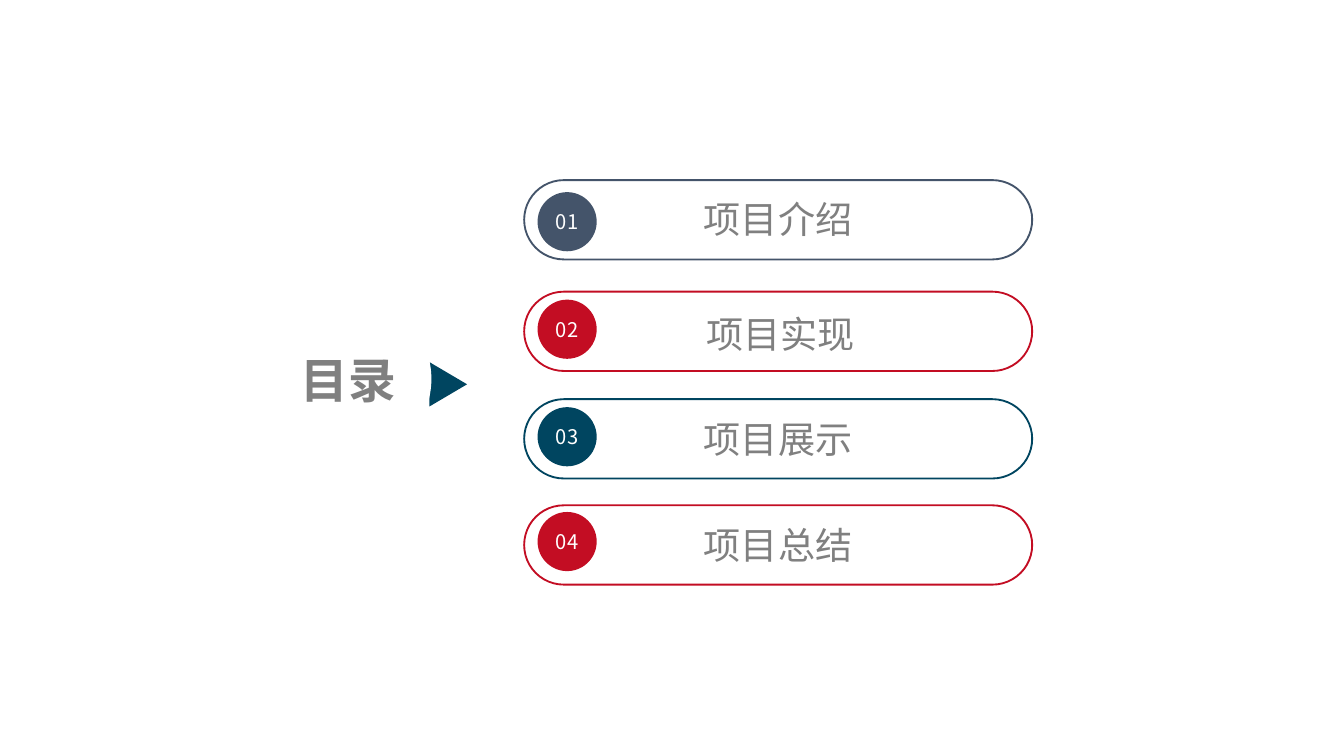
from dataclasses import dataclass

from lxml import etree
from pptx import Presentation
from pptx.dml.color import RGBColor
from pptx.enum.shapes import MSO_SHAPE
from pptx.enum.text import MSO_ANCHOR, PP_ALIGN
from pptx.oxml.ns import qn
from pptx.util import Inches, Pt

OVAL = MSO_SHAPE.OVAL
PILL = MSO_SHAPE.ROUNDED_RECTANGLE
TRIANGLE = MSO_SHAPE.ISOSCELES_TRIANGLE
CENTER = PP_ALIGN.CENTER
MIDDLE = MSO_ANCHOR.MIDDLE


@dataclass(frozen=True)
class Theme:
    font: str = "Noto Sans CJK SC"
    white: str = "FFFFFF"
    gray: str = "808080"
    slate: str = "44546A"
    red: str = "C30D23"
    teal: str = "004560"
    title_size: float = 25.6
    label_size: float = 19.9
    number_size: float = 10.8


THEME = Theme()
PILL_LEFT, PILL_WIDTH, PILL_HEIGHT = 3.9, 3.78, 0.59
BADGE_SIZE = 0.44
ENTRIES = [
    {"top": 1.34, "badge_drop": 0.09, "label_shift": (0, -0.01), "color": THEME.slate, "label": "项目介绍"},
    {"top": 2.17, "badge_drop": 0.06, "label_shift": (0.02, 0.02), "color": THEME.red, "label": "项目实现"},
    {"top": 2.97, "badge_drop": 0.06, "label_shift": (0, 0), "color": THEME.teal, "label": "项目展示"},
    {"top": 3.76, "badge_drop": 0.05, "label_shift": (0, 0), "color": THEME.red, "label": "项目总结"},
]


def write_text(shape, text, size, color, bold=False):
    frame = shape.text_frame
    frame_format = {
        "word_wrap": True,
        "vertical_anchor": MIDDLE,
        "margin_left": 0,
        "margin_right": 0,
        "margin_top": 0,
        "margin_bottom": 0,
    }
    for name, value in frame_format.items():
        setattr(frame, name, value)
    para = frame.paragraphs[0]
    para_format = {"alignment": CENTER, "line_spacing": 1.0, "space_before": Pt(0)}
    for name, value in para_format.items():
        setattr(para, name, value)
    span = para.add_run()
    span.text = text
    for name, value in {"name": THEME.font, "size": Pt(size), "bold": bold}.items():
        setattr(span.font, name, value)
    span.font.color.rgb = RGBColor.from_string(color)
    east_asian = etree.SubElement(span.font._element, qn("a:ea"))
    east_asian.set("typeface", THEME.font)


def add_shape(page, kind, box, fill=None, line=None):
    shape = page.shapes.add_shape(kind, *map(Inches, box))
    shape.shadow.inherit = False
    if fill:
        shape.fill.solid()
        shape.fill.fore_color.rgb = RGBColor.from_string(fill)
    else:
        shape.fill.background()
    if line:
        shape.line.color.rgb = RGBColor.from_string(line)
        shape.line.width = Pt(1)
    else:
        shape.line.fill.background()
    return shape


def add_heading(page, box):
    left, top, width, height = box
    pointer = add_shape(page, TRIANGLE, (left + 1.2, top + 0.52, 0.33, 0.28), fill=THEME.teal)
    pointer.rotation = 90
    add_shape(page, OVAL, box, fill=THEME.white)
    title = page.shapes.title
    for name, value in zip(("left", "top", "width", "height"), box):
        setattr(title, name, Inches(value))
    write_text(title, "目录", THEME.title_size, THEME.gray, bold=True)
    page.shapes._spTree.append(title._element)


def add_entry(page, box, number, entry):
    left, top, width, height = box
    pill = add_shape(page, PILL, box, line=entry["color"])
    pill.adjustments[0] = 0.5
    badge_box = (left + 0.1, top + entry["badge_drop"], BADGE_SIZE, BADGE_SIZE)
    badge = add_shape(page, OVAL, badge_box, fill=entry["color"])
    write_text(badge, f"{number:02d}", THEME.number_size, THEME.white)
    shift_right, shift_down = entry["label_shift"]
    label_box = (left + 0.93 + shift_right, top + shift_down, 1.92, height)
    label = page.shapes.add_textbox(*map(Inches, label_box))
    write_text(label, entry["label"], THEME.label_size, THEME.gray)


def main():
    deck = Presentation()
    deck.slide_width = Inches(10)
    deck.slide_height = deck.slide_width * 9 // 16
    page = deck.slides.add_slide(deck.slide_layouts[5])
    page.background.fill.solid()
    page.background.fill.fore_color.rgb = RGBColor.from_string(THEME.white)
    add_heading(page, (1.97, 2.2, 1.24, 1.24))
    for number, entry in enumerate(ENTRIES, start=1):
        add_entry(page, (PILL_LEFT, entry["top"], PILL_WIDTH, PILL_HEIGHT), number, entry)
    deck.save("out.pptx")


if __name__ == "__main__":
    main()
